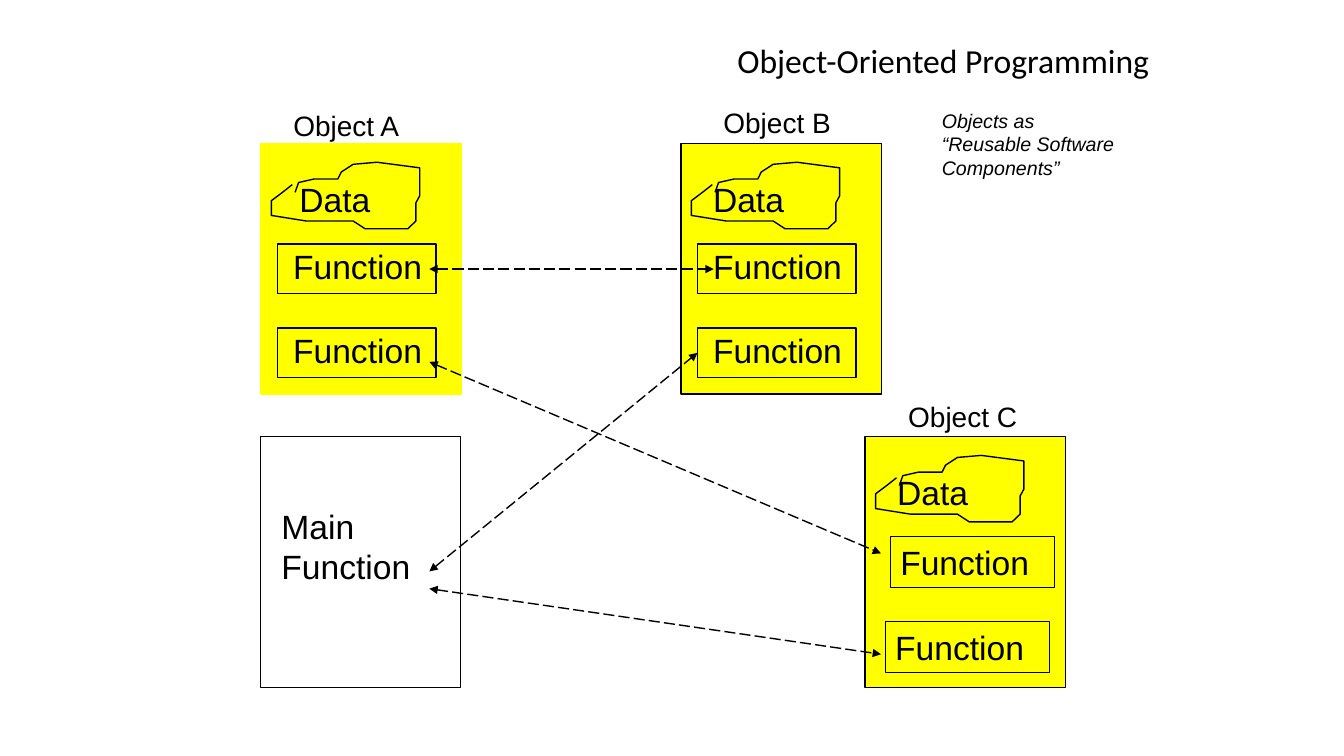
from dataclasses import dataclass

from lxml.etree import SubElement
from pptx import Presentation
from pptx.dml.color import RGBColor
from pptx.enum.dml import MSO_LINE
from pptx.enum.shapes import MSO_CONNECTOR, MSO_SHAPE
from pptx.enum.text import MSO_ANCHOR, PP_ALIGN
from pptx.oxml.ns import qn
from pptx.util import Pt


@dataclass(frozen=True)
class Theme:
    ink: RGBColor = RGBColor(0x00, 0x00, 0x00)
    object_fill: RGBColor = RGBColor(0xFF, 0xFF, 0x00)
    title_font: str = "Calibri"
    body_font: str = "Arial"
    large: int = 24
    label: int = 20
    note: int = 14


@dataclass(frozen=True)
class Slots:
    """Function boxes of an object: offsets from its corner, size and text insets."""
    offsets: tuple
    size: tuple
    insets: tuple
    weight: float


THEME = Theme()
BOX_W, BOX_H = 143.2, 179.2
TOP_ROW, BOTTOM_ROW = 102.4, 311.8
PLAIN_SLOTS = Slots(((11.8, 72), (11.8, 132)), (113.2, 35.3), (11.2, 1.4), 1)
STAGGERED_SLOTS = Slots(((18, 71.7), (14.4, 132.3)), (117.4, 36), (7.2, 3.6), 0.75)
CLOUD = [(15, 16), (8, 21.5), (0, 27.5), (0, 38), (25, 42), (58.5, 42),
         (67, 47.5), (97.5, 47.5), (103.3, 42), (103.3, 29), (106, 24),
         (106, 4), (75.5, 0), (58.5, 1.5), (50, 7), (47.5, 12), (30.5, 12),
         (19.5, 14.5), (17, 21.5)]


def write(s, lines, size, insets=(7.2, 3.6), font=THEME.body_font, italic=False,
          align=PP_ALIGN.LEFT):
    """Fill a shape with one paragraph per line; insets are left, top."""
    tf = s.text_frame
    tf.word_wrap = False
    tf.vertical_anchor = MSO_ANCHOR.TOP
    tf.margin_left, tf.margin_top = Pt(insets[0]), Pt(insets[1])
    for i, line in enumerate(lines):
        p = tf.paragraphs[0] if i == 0 else tf.add_paragraph()
        p.alignment = align
        r = p.add_run()
        r.text = line
        r.font.name, r.font.size, r.font.italic = font, Pt(size), italic
        r.font.color.rgb = THEME.ink


def add_text(slide, x, y, w, h, lines, size, **style):
    s = slide.shapes.add_textbox(Pt(x), Pt(y), Pt(w), Pt(h))
    write(s, lines, size, **style)
    return s


def outline(s, fill=None, line=THEME.ink, weight=1):
    s.shadow.inherit = False
    if fill is None:
        s.fill.background()
    else:
        s.fill.solid()
        s.fill.fore_color.rgb = fill
    s.line.color.rgb = line
    s.line.width = Pt(weight)


def add_box(slide, x, y, w, h, **look):
    s = slide.shapes.add_shape(MSO_SHAPE.RECTANGLE, Pt(x), Pt(y), Pt(w), Pt(h))
    outline(s, **look)
    return s


def add_cloud(slide, x, y):
    points = [(Pt(x + dx), Pt(y + dy)) for dx, dy in CLOUD]
    builder = slide.shapes.build_freeform(*points[0])
    builder.add_line_segments(points[1:], close=False)
    outline(builder.convert_to_shape(), fill=THEME.object_fill)


def add_object(slide, x, y, name, name_at, data_dx=15.8, line=THEME.ink,
               slots=PLAIN_SLOTS):
    """Draw an object with its data and functions; return the function boxes."""
    add_box(slide, x, y, BOX_W, BOX_H, fill=THEME.object_fill, line=line)
    add_text(slide, x + name_at[0], y + name_at[1], 92.5, 31.5, [name], THEME.label)
    add_cloud(slide, x + 7.4, y + 13.5)
    add_text(slide, x + data_dx, y + 22, 65.5, 36, ["Data"], THEME.large)
    functions = []
    for dx, dy in slots.offsets:
        s = add_box(slide, x + dx, y + dy, *slots.size,
                    fill=THEME.object_fill, weight=slots.weight)
        write(s, ["Function"], THEME.large, slots.insets)
        functions.append(s)
    return functions


def add_main(slide, x, y):
    s = add_box(slide, x, y, BOX_W, BOX_H)
    write(s, ["Main", "Function"], THEME.large, (15.2, 49.7))


def add_message(slide, x1, y1, x2, y2):
    """Draw a dashed arrow with a head at both ends."""
    c = slide.shapes.add_connector(MSO_CONNECTOR.STRAIGHT,
                                   Pt(x1), Pt(y1), Pt(x2), Pt(y2))
    c.line.color.rgb = THEME.ink
    c.line.width = Pt(1)
    c.line.dash_style = MSO_LINE.LONG_DASH
    ln = c.line._get_or_add_ln()
    for end in ("a:headEnd", "a:tailEnd"):
        SubElement(ln, qn(end), type="triangle")
    SubElement(c._element.spPr, qn("a:effectLst"))
    return c


def add_headings(slide):
    title = add_text(slide, 508, 27.9, 320, 34, ["Object-Oriented Programming"],
                     THEME.large, font=THEME.title_font, align=PP_ALIGN.RIGHT)
    title.text_frame.word_wrap = True
    title.text_frame.paragraphs[0].line_spacing = 0.9
    add_text(slide, 665.6, 74.2, 138.2, 58.3,
             ["Objects as", "“Reusable Software", "Components”"],
             THEME.note, italic=True)


def build_slide(prs):
    slide = prs.slides.add_slide(prs.slide_layouts[6])
    add_headings(slide)
    add_object(slide, 186.4, TOP_ROW, "Object A", (16, -28.2), data_dx=20.4,
               line=THEME.object_fill)
    b_functions = add_object(slide, 486.4, TOP_ROW, "Object B", (23.2, -30.6))
    add_object(slide, 618, BOTTOM_ROW, "Object C", (23.6, -30.3),
               slots=STAGGERED_SLOTS)
    add_main(slide, 185.9, BOTTOM_ROW)

    left_end, c_end = 306.7, 629.3
    add_message(slide, left_end, 192.2, 509.8, 192.2)
    add_message(slide, left_end, 258.5, c_end, 395.3)
    main_to_b = add_message(slide, left_end, 408.2, 497.5, 251.3)
    main_to_b.end_connect(b_functions[1], 1)
    add_message(slide, left_end, 420.5, c_end, 467.3)


def main():
    prs = Presentation()
    prs.slide_width, prs.slide_height = Pt(960), Pt(540)
    build_slide(prs)
    prs.save("out.pptx")


if __name__ == "__main__":
    main()
